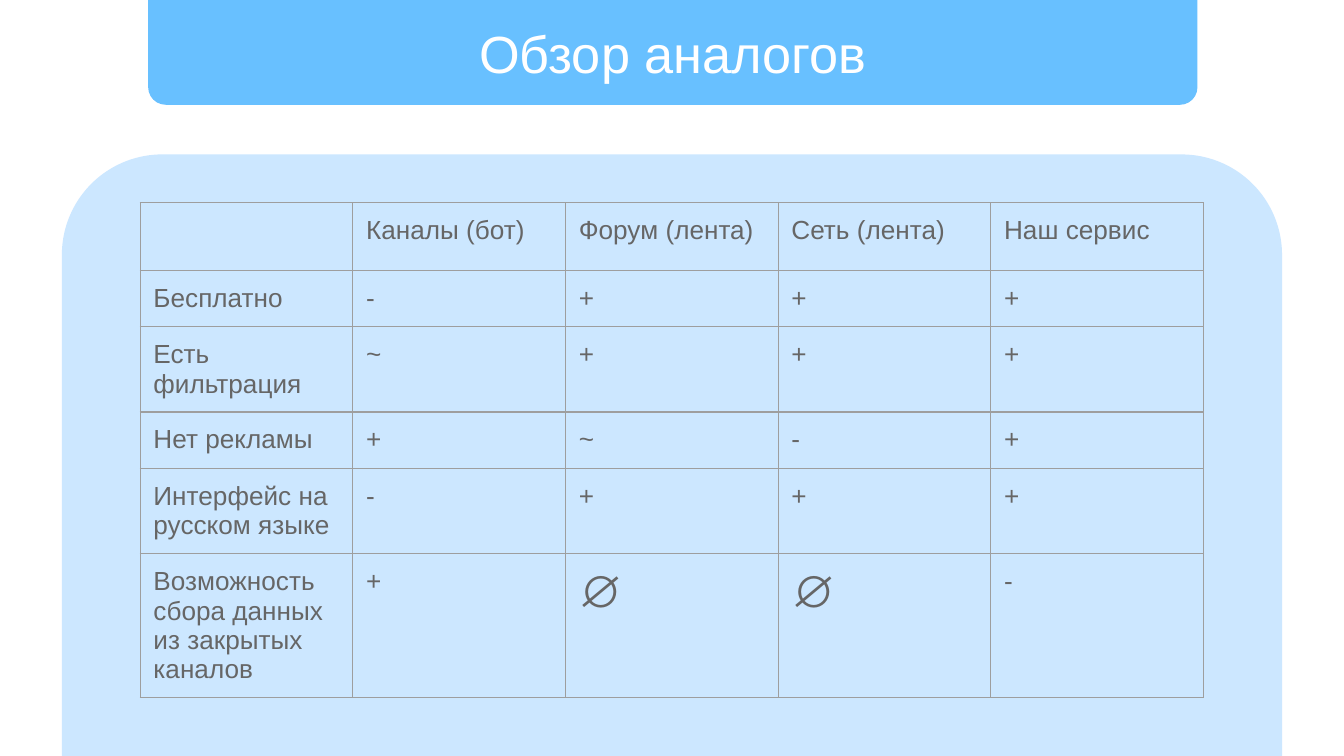
from dataclasses import dataclass

from lxml.etree import SubElement
from pptx import Presentation
from pptx.dml.color import RGBColor as Rgb
from pptx.enum.shapes import MSO_SHAPE as Preset
from pptx.enum.text import MSO_ANCHOR as Anchor, PP_ALIGN as Align
from pptx.oxml.ns import qn
from pptx.util import Cm, Pt


@dataclass(frozen=True)
class Theme:
    font: str = "Arial"
    banner: str = "68C0FF"
    panel: str = "CCE7FF"
    heading: str = "FFFFFF"
    body: str = "666666"
    grid: str = "9E9E9E"
    heading_size: int = 28
    body_size: int = 14
    symbol_size: int = 24
    grid_width: float = 0.75


INSET = Cm(0.25)
INSETS = dict.fromkeys(
    ("margin_left", "margin_right", "margin_top", "margin_bottom"), INSET)

BANNER_BOX = (2.8, 0, 19.83, 1.98)
PANEL_BOX = (1.17, 2.92, 23.06, 11.37)
TABLE_ORIGIN = (2.65, 3.83)
COLUMN_WIDTH = 4.02
HEADER_HEIGHT = 1.21
ROW_HEIGHT = 1.07

COMPARISON = [
    ["", "Каналы (бот)", "Форум (лента)", "Сеть (лента)", "Наш сервис"],
    ["Бесплатно", "-", "+", "+", "+"],
    ["Есть фильтрация", "~", "+", "+", "+"],
    ["Нет рекламы", "+", "~", "-", "+"],
    ["Интерфейс на русском языке", "-", "+", "+", "+"],
    ["Возможность сбора данных из закрытых каналов", "+", "∅", "∅", "-"],
]


def apply(target, values):
    for name, value in values.items():
        setattr(target, name, value)


class SlideBuilder:
    def __init__(self, slide, theme):
        self.slide = slide
        self.theme = theme

    def style_text(self, paragraph, size, color):
        for run in paragraph.runs:
            apply(run.font, {"name": self.theme.font, "size": Pt(size)})
            run.font.color.rgb = Rgb.from_string(color)

    def title(self, wording, box):
        heading = self.slide.shapes.title
        apply(heading, dict(zip(("left", "top", "width", "height"), map(Cm, box))))
        frame = heading.text_frame
        frame.text = wording
        apply(frame, {**INSETS, "vertical_anchor": Anchor.MIDDLE, "word_wrap": True})
        paragraph = frame.paragraphs[0]
        paragraph.alignment = Align.CENTER
        self.style_text(paragraph, self.theme.heading_size, self.theme.heading)

    def rounded_top(self, box, color, rotation=0):
        """Add a block with two rounded corners, placed behind the title."""
        block = self.slide.shapes.add_shape(
            Preset.ROUND_2_SAME_RECTANGLE, *map(Cm, box))
        block.adjustments[0] = 0.167
        block.rotation = rotation
        block.shadow.inherit = False
        block.fill.solid()
        block.fill.fore_color.rgb = Rgb.from_string(color)
        block.line.fill.background()
        self.slide.shapes.title.element.addprevious(block.element)

    def cell_borders(self, cell):
        properties = cell._tc.get_or_add_tcPr()
        for position, side in enumerate(("lnL", "lnR", "lnT", "lnB")):
            border = SubElement(properties, qn(f"a:{side}"),
                                w=str(Pt(self.theme.grid_width)))
            fill = SubElement(border, qn("a:solidFill"))
            SubElement(fill, qn("a:srgbClr"), val=self.theme.grid)
            properties.insert(position, border)

    def table(self, rows, origin, column_width, header_height, row_height):
        column_count = len(rows[0])
        heights = [header_height] + [row_height] * (len(rows) - 1)
        grid = self.slide.shapes.add_table(
            len(rows), column_count, *map(Cm, origin),
            Cm(column_width * column_count), Cm(sum(heights))).table
        apply(grid, {"first_row": False, "horz_banding": False})
        for column in grid.columns:
            column.width = Cm(column_width)
        for row, height, labels in zip(grid.rows, heights, rows):
            row.height = Cm(height)
            for cell, label in zip(row.cells, labels):
                self.table_cell(cell, label)

    def table_cell(self, cell, label):
        theme = self.theme
        cell.text = label
        apply(cell, {**INSETS, "vertical_anchor": Anchor.TOP})
        cell.fill.background()
        size = theme.symbol_size if label == "∅" else theme.body_size
        self.style_text(cell.text_frame.paragraphs[0], size, theme.body)
        self.cell_borders(cell)


def main():
    deck = Presentation()
    apply(deck, {"slide_width": Cm(25.4), "slide_height": Cm(14.29)})
    theme = Theme()
    title_only = deck.slide_layouts.get_by_name("Title Only")
    builder = SlideBuilder(deck.slides.add_slide(title_only), theme)

    builder.title("Обзор аналогов", BANNER_BOX)
    builder.rounded_top(BANNER_BOX, theme.banner, rotation=180)
    builder.rounded_top(PANEL_BOX, theme.panel)
    builder.table(COMPARISON, TABLE_ORIGIN, COLUMN_WIDTH, HEADER_HEIGHT, ROW_HEIGHT)
    deck.save("out.pptx")


if __name__ == "__main__":
    main()
